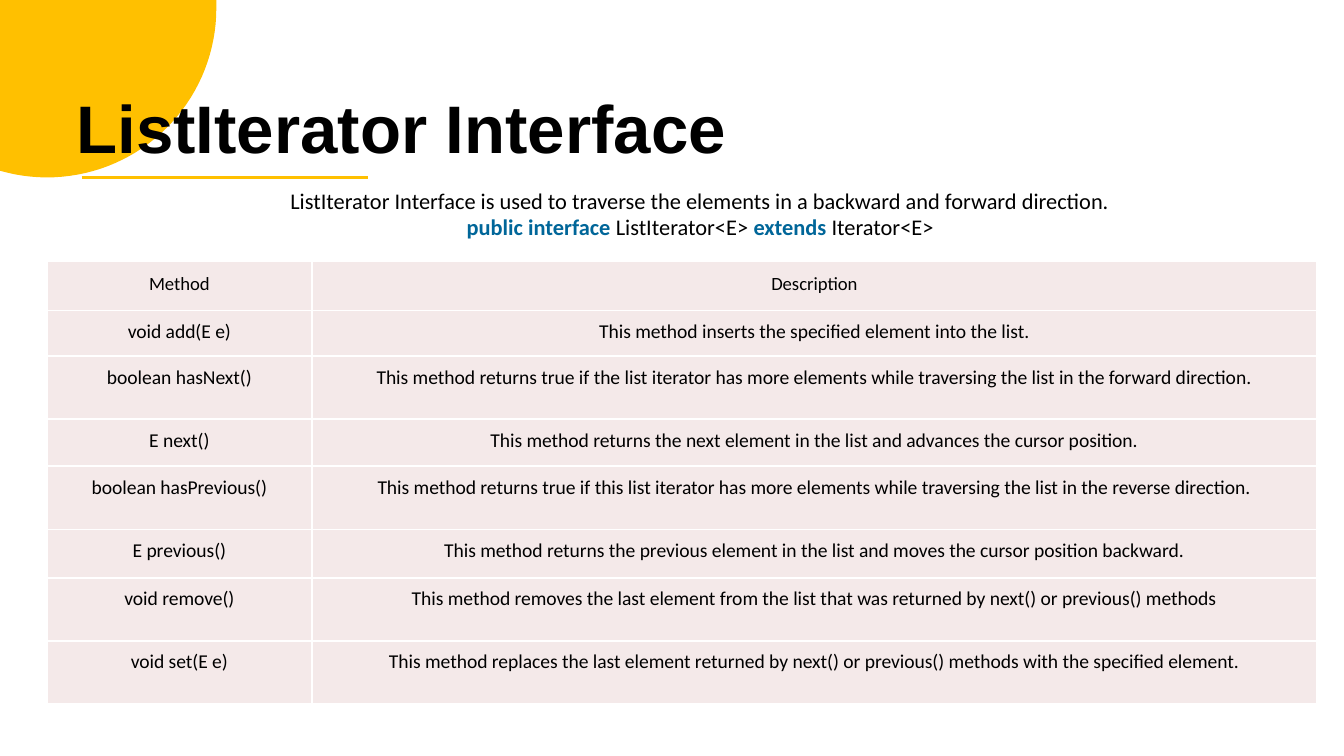
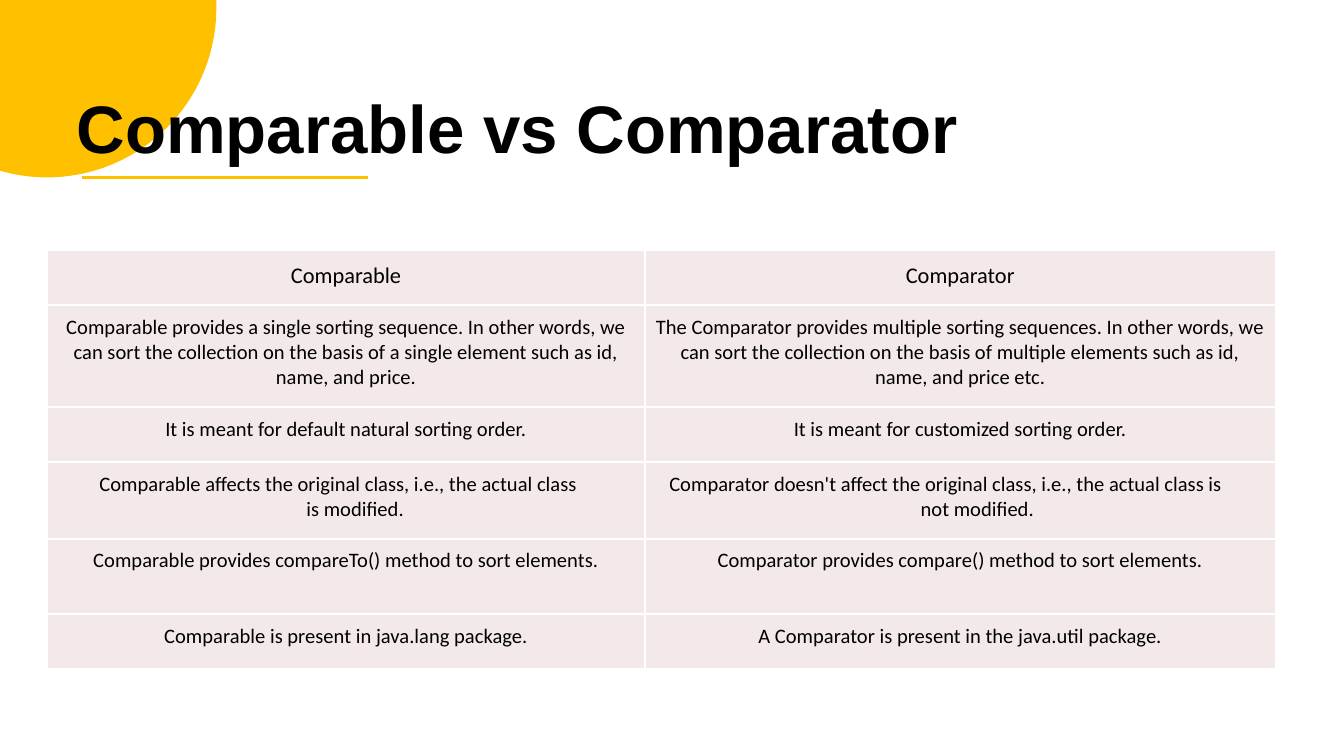
from math import acos, cos, pi, sin

from lxml.etree import SubElement
from pptx import Presentation
from pptx.dml.color import RGBColor
from pptx.enum.shapes import MSO_CONNECTOR as CONNECTOR
from pptx.enum.text import MSO_ANCHOR as ANCHOR, PP_ALIGN as ALIGN
from pptx.oxml.ns import qn
from pptx.util import Inches, Pt

# Content
ITERATOR_TITLE = "ListIterator Interface"
ITERATOR_INTRO = [
    [("ListIterator Interface is used to traverse the elements in a backward "
      "and forward direction.", False)],
    [("public interface ", True), ("ListIterator<E> ", False),
     ("extends ", True), ("Iterator<E>", False)],
]
ITERATOR_METHODS = [
    ("Method", "Description"),
    ("void add(E e)", "This method inserts the specified element into the list."),
    ("boolean hasNext()", "This method returns true if the list iterator has more "
     "elements while traversing the list in the forward direction."),
    ("E next()", "This method returns the next element in the list and advances "
     "the cursor position."),
    ("boolean hasPrevious()", "This method returns true if this list iterator has "
     "more elements while traversing the list in the reverse direction."),
    ("E previous()", "This method returns the previous element in the list and "
     "moves the cursor position backward."),
    ("void remove()", "This method removes the last element from the list that was "
     "returned by next() or previous() methods"),
    ("void set(E e)", "This method replaces the last element returned by next() or "
     "previous() methods with the specified element."),
]
COMPARE_TITLE = "Comparable vs Comparator"
COMPARISON = [
    ("Comparable", "Comparator"),
    ("Comparable provides a single sorting sequence. In other words, we can sort the "
     "collection on the basis of a single element such as id, name, and price.",
     "The Comparator provides multiple sorting sequences. In other words, we can sort "
     "the collection on the basis of multiple elements such as id, name, and price etc."),
    ("It is meant for default natural sorting order.",
     "It is meant for customized sorting order."),
    ("Comparable affects the original class, i.e., the actual class is modified.",
     "Comparator doesn't affect the original class, i.e., the actual class is not modified."),
    ("Comparable provides compareTo() method to sort elements.",
     "Comparator provides compare() method to sort elements."),
    ("Comparable is present in java.lang package.",
     "A Comparator is present in the java.util package."),
]
# Cells by (row, column): side margins, and hanging indent as (left, first line)
COMPARISON_MARGINS = {(1, 0): (0.12, 0.12), (1, 1): (0.07, 0.07),
                      (3, 0): (0, 0.42), (3, 1): (0, 0.3)}
COMPARISON_HANGING = {(3, 0): (1.93, -1.54), (3, 1): (2.05, -1.87)}

# Shared style
SLIDE_WIDTH = Inches(10)
SLIDE_HEIGHT = SLIDE_WIDTH * 9 // 16
GOLD, BLACK, WHITE, KEYWORD, CELL = "FFC000", "000000", "FFFFFF", "006699", "F4E9E9"
TITLE_FONT = dict(name="Arial", size=Pt(36), bold=True)
BODY_FONT = "Calibri"
FRAME = dict(margin_left=Inches(0.01), margin_right=0, margin_top=Inches(0.01),
             margin_bottom=0, word_wrap=True, vertical_anchor=ANCHOR.TOP)


def rgb(value):
    return RGBColor.from_string(value)


def apply(target, formats):
    for name, value in formats.items():
        setattr(target, name, value)


def style_font(font, color, **formats):
    apply(font, formats)
    font.color.rgb = rgb(color)


def place(left, top, width, height):
    return dict(left=Inches(left), top=Inches(top),
                width=Inches(width), height=Inches(height))


def add_corner_disc(slide, center_x=0.35, center_y=0.06, radius=1.26, steps=40):
    """Disc cut off by the slide's top and left edges."""
    end = pi - acos(center_x / radius)
    arc = [(Inches(center_x + radius * cos(end * i / steps)),
            Inches(center_y + radius * sin(end * i / steps))) for i in range(steps + 1)]
    outline = slide.shapes.build_freeform(0, 0)
    outline.add_line_segments([(arc[0][0], 0)] + arc, close=True)
    disc = outline.convert_to_shape()
    disc.shadow.inherit = False
    disc.fill.solid()
    disc.fill.fore_color.rgb = rgb(GOLD)
    disc.line.fill.background()
    slide.shapes._spTree.insert(2, disc._element)  # behind the title


def add_underline(slide):
    y = Inches(1.32)
    rule = slide.shapes.add_connector(CONNECTOR.STRAIGHT, Inches(0.61), y, Inches(2.74), y)
    rule.line.color.rgb = rgb(GOLD)
    rule.line.width = Pt(1.5)
    SubElement(rule._element.spPr, qn("a:effectLst"))


def add_titled_slide(deck, heading, width):
    slide = deck.slides.add_slide(deck.slide_layouts[5])
    title = slide.shapes.title
    apply(title, place(0.56, 0.63, width, 0.63))
    title.text = heading
    apply(title.text_frame, FRAME)
    caption = title.text_frame.paragraphs[0]
    caption.alignment = ALIGN.LEFT
    style_font(caption.font, BLACK, **TITLE_FONT)
    add_corner_disc(slide)
    add_underline(slide)
    return slide


def add_intro(slide, lines):
    frame = slide.shapes.add_textbox(**place(2.14, 1.38, 6.13, 0.43)).text_frame
    apply(frame, FRAME)
    for i, line in enumerate(lines):
        paragraph = frame.paragraphs[0] if i == 0 else frame.add_paragraph()
        paragraph.alignment = ALIGN.CENTER
        for words, is_keyword in line:
            run = paragraph.add_run()
            run.text = words
            style_font(run.font, KEYWORD if is_keyword else BLACK,
                       name=BODY_FONT, size=Pt(12), bold=is_keyword)


def add_borders(cell):
    properties = cell._tc.get_or_add_tcPr()
    for side in ("lnL", "lnR", "lnT", "lnB"):
        border = SubElement(properties, qn(f"a:{side}"), w=str(Pt(1)))
        SubElement(SubElement(border, qn("a:solidFill")), qn("a:srgbClr"), val=WHITE)


def add_grid(slide, rows, top, widths, heights, header_size, body_size,
             margins=None, hanging=None):
    table = slide.shapes.add_table(
        len(rows), len(widths), **place(0.35, top, sum(widths), sum(heights))).table
    apply(table, dict(first_row=False, horz_banding=False))
    for column, width in zip(table.columns, widths):
        column.width = Inches(width)
    for r, (row, height) in enumerate(zip(rows, heights)):
        table.rows[r].height = Inches(height)
        for c, words in enumerate(row):
            cell = table.cell(r, c)
            left, right = (margins or {}).get((r, c), (0, 0))
            apply(cell, dict(text=words, margin_left=Inches(left),
                             margin_right=Inches(right), margin_bottom=0,
                             margin_top=Inches(0.07 if r else 0.09)))
            add_borders(cell)
            cell.fill.solid()
            cell.fill.fore_color.rgb = rgb(CELL)
            paragraph = cell.text_frame.paragraphs[0]
            paragraph.alignment = ALIGN.CENTER
            if hanging and (r, c) in hanging:
                paragraph.alignment = ALIGN.LEFT
                for key, inches in zip(("marL", "indent"), hanging[r, c]):
                    paragraph._p.get_or_add_pPr().set(key, str(Inches(inches)))
            style_font(paragraph.font, BLACK, name=BODY_FONT, bold=False,
                       size=Pt(body_size if r else header_size))


def main():
    deck = Presentation()
    apply(deck, dict(slide_width=SLIDE_WIDTH, slide_height=SLIDE_HEIGHT))

    # ListIterator methods
    iterator = add_titled_slide(deck, ITERATOR_TITLE, 4.96)
    add_intro(iterator, ITERATOR_INTRO)
    add_grid(iterator, ITERATOR_METHODS, 1.94, [1.97, 7.48],
             [0.37, 0.34, 0.47, 0.35, 0.47, 0.36, 0.47, 0.47], 10, 10.5)

    # Comparable against Comparator
    comparison = add_titled_slide(deck, COMPARE_TITLE, 6.68)
    add_grid(comparison, COMPARISON, 1.86, [4.45, 4.69],
             [0.41, 0.76, 0.41, 0.57, 0.56, 0.41], 12, 11,
             COMPARISON_MARGINS, COMPARISON_HANGING)

    deck.save("out.pptx")


if __name__ == "__main__":
    main()
